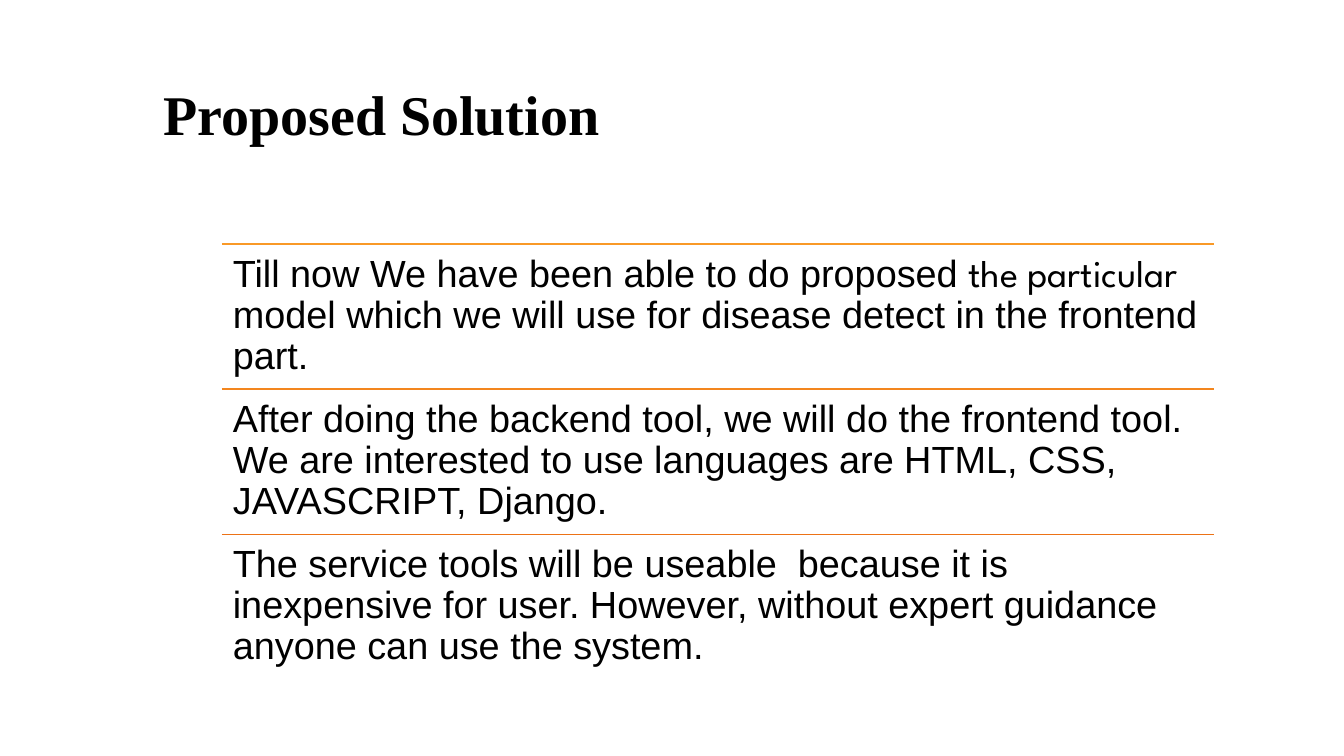
from lxml import etree
from pptx import Presentation
from pptx.dml.color import RGBColor
from pptx.enum.shapes import MSO_CONNECTOR
from pptx.enum.text import MSO_ANCHOR, MSO_AUTO_SIZE, PP_ALIGN
from pptx.oxml.ns import qn
from pptx.util import Inches, Pt

STRAIGHT = MSO_CONNECTOR.STRAIGHT
TOP = MSO_ANCHOR.TOP
LEFT = PP_ALIGN.LEFT
NO_AUTOFIT = MSO_AUTO_SIZE.NONE
TITLE_ONLY = 5

LIST_LEFT, LIST_TOP = Inches(2.2), Inches(2.42)
LIST_WIDTH, ROW_HEIGHT = Inches(9.84), Inches(1.44)
PADDING = Inches(0.11)

STATEMENTS = [
    ("F99927", [
        ("Till now We have been able to do proposed ", "Arial"),
        ("the particular", "League Spartan"),
        (" model which we will use for disease detect in the frontend part.", "Arial"),
    ]),
    ("F3861E", [
        ("After doing the backend tool, we will do the frontend tool. "
         "We are interested to use languages are HTML, CSS, JAVASCRIPT, Django.", "Arial"),
    ]),
    ("EC7216", [
        ("The service tools will be useable  because it is inexpensive for user. "
         "However, without expert guidance anyone can use the system.", "Arial"),
    ]),
]


def paint(color_format, hex_color):
    color_format.rgb = RGBColor.from_string(hex_color)


deck = Presentation()
deck.slide_width, deck.slide_height = Inches(13.33), Inches(7.5)
slide = deck.slides.add_slide(deck.slide_layouts[TITLE_ONLY])

heading = slide.shapes.title
heading.left, heading.top = Inches(1.52), Inches(0.74)
heading.width, heading.height = Inches(6.67), Inches(0.77)
heading_frame = heading.text_frame
heading_frame.text = "Proposed Solution"
heading_frame.vertical_anchor = TOP
heading_frame.auto_size = NO_AUTOFIT
heading_line = heading_frame.paragraphs[0]
heading_line.alignment = LEFT
heading_line.font.name = "Times New Roman"
heading_line.font.size = Pt(40)
heading_line.font.bold = True
paint(heading_line.font.color, "000000")

for row, (rule_color, phrases) in enumerate(STATEMENTS):
    row_top = LIST_TOP + row * ROW_HEIGHT
    rule = slide.shapes.add_connector(
        STRAIGHT, LIST_LEFT, row_top, LIST_LEFT + LIST_WIDTH, row_top)
    rule.line.width = Pt(1)
    paint(rule.line.color, rule_color)
    etree.SubElement(rule._element.spPr, qn("a:effectLst"))

    statement = slide.shapes.add_textbox(LIST_LEFT, row_top, LIST_WIDTH, ROW_HEIGHT)
    frame = statement.text_frame
    frame.word_wrap = True
    frame.vertical_anchor = TOP
    frame.margin_left = frame.margin_right = PADDING
    frame.margin_top = frame.margin_bottom = PADDING
    paragraph = frame.paragraphs[0]
    paragraph.line_spacing = 0.9
    paragraph.font.size = Pt(27)
    paint(paragraph.font.color, "000000")
    for wording, typeface in phrases:
        phrase = paragraph.add_run()
        phrase.text = wording
        phrase.font.name = typeface

deck.save("out.pptx")
